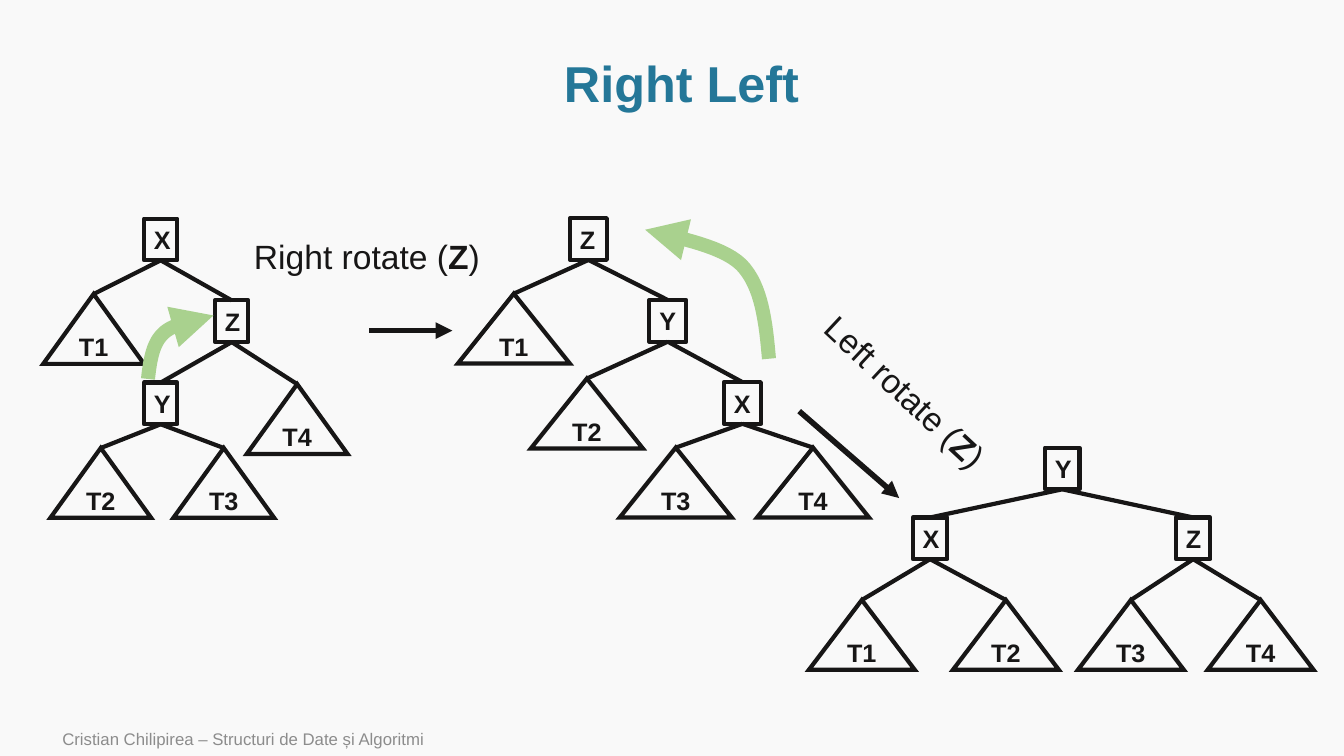
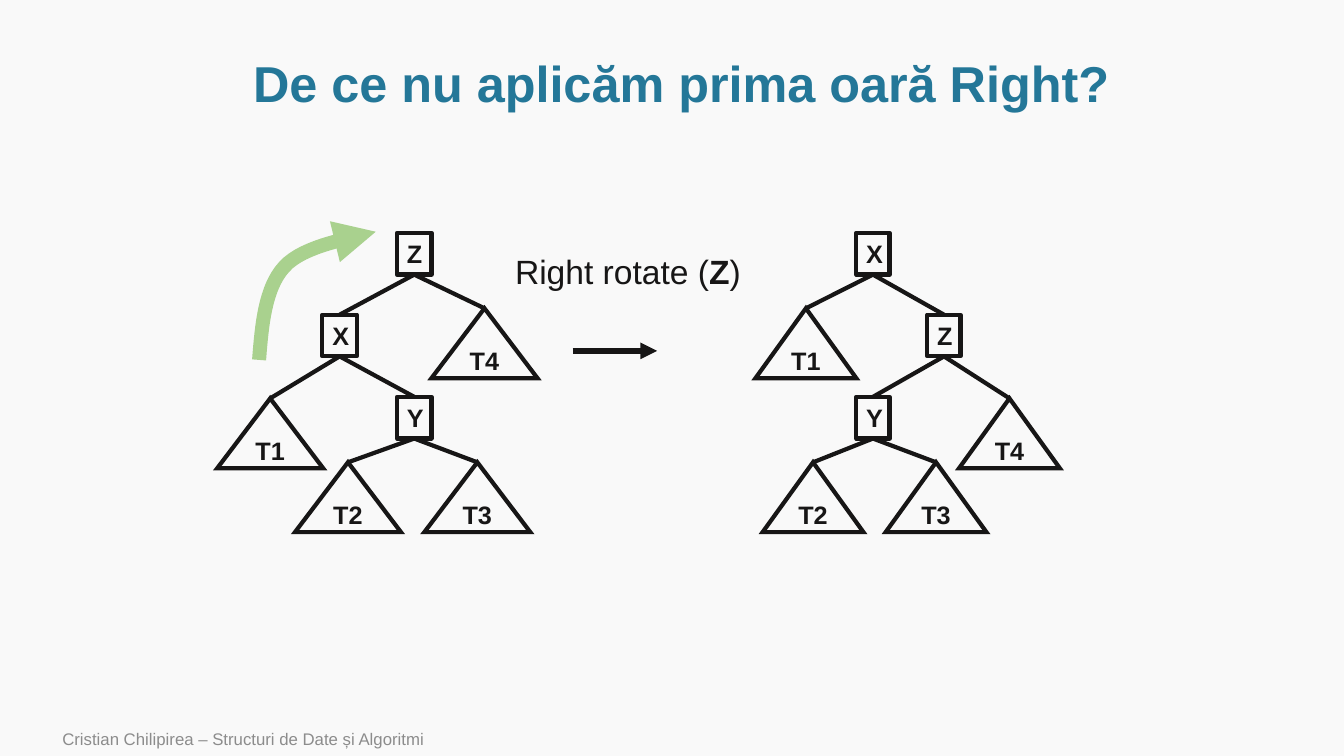
"""Build two slides on double rotations in binary search trees."""
import pptx
import pptx.dml.color
import pptx.enum.shapes
import pptx.enum.text
import pptx.util
from lxml import etree
from pptx.oxml.ns import qn

Cm, Pt = pptx.util.Cm, pptx.util.Pt
SHAPE = pptx.enum.shapes.MSO_SHAPE
ALIGN = pptx.enum.text.PP_ALIGN
MIDDLE = pptx.enum.text.MSO_ANCHOR.MIDDLE

COLORS = {"back": "F9F9F9", "title": "247798", "foot": "8C8C8C",
          "ink": "171616", "curve": "A9D18E"}
FONT = "Arial"
FOOTER = "Cristian Chilipirea – Structuri de Date și Algoritmi"
BOX_H, TRI_H = 1.05, 1.76
STEPS = 16

# Each node: name, x and y from the root's top centre, children
ZIGZAG = ("X", 0, 0, [
    ("T1", -1.69, 1.9, []),
    ("Z", 1.79, 2.06, [
        ("Y", 0, 4.13, [("T2", -1.51, 5.78, []), ("T3", 1.59, 5.78, [])]),
        ("T4", 3.44, 4.17, [])])])
CHAIN = ("Z", 0, 0, [
    ("T1", -1.88, 1.9, []),
    ("Y", 2, 2.06, [
        ("T2", -0.04, 4.04, []),
        ("X", 3.88, 4.13, [("T3", 2.2, 5.78, []), ("T4", 5.66, 5.78, [])])])])
EVEN = ("Y", 0, 0, [
    ("X", -3.33, 1.76, [("T1", -5.05, 3.84, []), ("T2", -1.42, 3.84, [])]),
    ("Z", 3.3, 1.76, [("T3", 1.73, 3.84, []), ("T4", 5, 3.84, [])])])
MIRROR = ("Z", 0, 0, [
    ("X", -1.88, 2.06, [
        ("T1", -3.63, 4.17, []),
        ("Y", 0, 4.13, [("T2", -1.67, 5.78, []), ("T3", 1.59, 5.78, [])])]),
    ("T4", 1.77, 1.9, [])])

# Trees: node, root x, root y, box width, triangle width
SLIDES = [
    {"title": "Right Left",
     "trees": [(ZIGZAG, 4.05, 5.51, 0.84, 2.54),
               (CHAIN, 14.83, 5.5, 0.93, 2.82),
               (EVEN, 26.77, 11.28, 0.87, 2.67)],
     "arrows": [(9.3, 8.33, 11.4, 8.33), (20.14, 10.36, 22.66, 12.55)],
     "labels": [("Right", (6.15, 5.82, 6.3, 1.27), 0),
                ("Left", (19.99, 9.27, 5.74, 1.27), 43)],
     "curves": [[(3.73, 9.55), (3.78, 9.12), (3.84, 8.66), (4.11, 8.41),
                 (4.37, 8.13), (5.11, 8.03), (5.38, 7.95)],
                [(19.38, 9.04), (19.3, 8.13), (19.2, 7.21), (18.69, 6.68),
                 (18.16, 6.15), (16.79, 5.94), (16.26, 5.79)]]},
    {"title": "De ce nu aplicăm prima oară Right?",
     "trees": [(MIRROR, 10.44, 5.87, 0.87, 2.67),
               (ZIGZAG, 22, 5.87, 0.84, 2.54)],
     "arrows": [(14.43, 8.84, 16.56, 8.84)],
     "labels": [("Right", (12.73, 6.2, 6.3, 1.27), 0)],
     "curves": [[(6.53, 9.07), (6.6, 8.18), (6.68, 7.26), (7.16, 6.73),
                 (7.65, 6.17), (8.94, 5.99), (9.47, 5.84)]]},
]


def color(name):
    return pptx.dml.color.RGBColor.from_string(COLORS[name])


def style(para, size, tint, bold=False):
    font = para.font
    font.name, font.size, font.bold = FONT, Pt(size), bold
    font.color.rgb = color(tint)


def stroke(shape, width, tint="ink", head=False):
    shape.line.color.rgb = color(tint)
    shape.line.width = Pt(width)
    if head:
        line = shape.line._get_or_add_ln()
        etree.SubElement(line, qn("a:tailEnd"), type="triangle")


def add_text(slide, frame, text, size, tint, bold=False):
    box = slide.shapes.add_textbox(*map(Cm, frame))
    body = box.text_frame
    body.word_wrap, body.vertical_anchor = True, MIDDLE
    para = body.paragraphs[0]
    para.text = text
    style(para, size, tint, bold)
    return para


def add_label(slide, side, frame, turn):
    box = slide.shapes.add_textbox(*map(Cm, frame))
    box.rotation = turn
    box.text_frame.word_wrap = False
    para = box.text_frame.paragraphs[0]
    for text, bold in ((side + " rotate (", False), ("Z", True), (")", False)):
        run = para.add_run()
        run.text, run.font.bold = text, bold
    style(para, 24, "ink")


def add_line(slide, ends, width, head=False):
    kind = pptx.enum.shapes.MSO_CONNECTOR.STRAIGHT
    line = slide.shapes.add_connector(kind, *map(Cm, ends))
    etree.SubElement(line._element.spPr, qn("a:effectLst"))
    stroke(line, width, head=head)
    return line


def add_node(slide, node, left, top, box_w, tri_w):
    name, x, y, kids = node
    leaf = not kids
    width, height = (tri_w, TRI_H) if leaf else (box_w, BOX_H)
    kind = SHAPE.ISOSCELES_TRIANGLE if leaf else SHAPE.RECTANGLE
    shape = slide.shapes.add_shape(
        kind, Cm(left + x - width / 2), Cm(top + y), Cm(width), Cm(height))
    shape.shadow.inherit = False
    shape.fill.background()
    stroke(shape, 3)
    if leaf:
        etree.SubElement(shape.line._get_or_add_ln(), qn("a:miter"), lim="800000")
    body = shape.text_frame
    body.word_wrap, body.vertical_anchor = leaf, MIDDLE
    para = body.paragraphs[0]
    para.text = name
    para.alignment = ALIGN.CENTER if leaf else ALIGN.LEFT
    style(para, 18, "ink", True)
    for kid in kids:
        child = add_node(slide, kid, left, top, box_w, tri_w)
        edge = add_line(slide, (0, 0, 0, 0), 3)
        edge.begin_connect(shape, 2)
        edge.end_connect(child, 0)
    return shape


def bend(points):
    """Return points along a chain of cubic curves."""
    trail = [points[0]]
    for i in range(0, len(points) - 1, 3):
        for step in range(1, STEPS + 1):
            t = step / STEPS
            parts = ((1 - t) ** 3, 3 * t * (1 - t) ** 2, 3 * t * t * (1 - t), t ** 3)
            trail.append(tuple(sum(k * p[axis] for k, p in zip(parts, points[i:i + 4]))
                               for axis in (0, 1)))
    return [(Cm(x), Cm(y)) for x, y in trail]


def add_curve(slide, points):
    trail = bend(points)
    pen = slide.shapes.build_freeform(*trail[0])
    pen.add_line_segments(trail[1:], close=False)
    curve = pen.convert_to_shape()
    curve.shadow.inherit = False
    curve.fill.background()
    stroke(curve, 10, "curve", head=True)


def add_slide(deck, data):
    slide = deck.slides.add_slide(deck.slide_layouts[6])
    add_text(slide, (1.32, 18.19, 21.34, 0.86), FOOTER, 12, "foot")
    title = add_text(slide, (2.57, 1.3, 29.21, 1.75), data["title"], 36, "title", True)
    title.alignment, title.line_spacing = ALIGN.CENTER, 0.9
    for tree in data["trees"]:
        add_node(slide, *tree)
    for ends in data["arrows"]:
        add_line(slide, ends, 4, head=True)
    for label in data["labels"]:
        add_label(slide, *label)
    for points in data["curves"]:
        add_curve(slide, points)


def main():
    deck = pptx.Presentation()
    deck.slide_width, deck.slide_height = Cm(33.87), Cm(19.05)
    fill = deck.slide_master.background.fill
    fill.solid()
    fill.fore_color.rgb = color("back")
    for data in SLIDES:
        add_slide(deck, data)
    deck.save("out.pptx")


if __name__ == "__main__":
    main()
